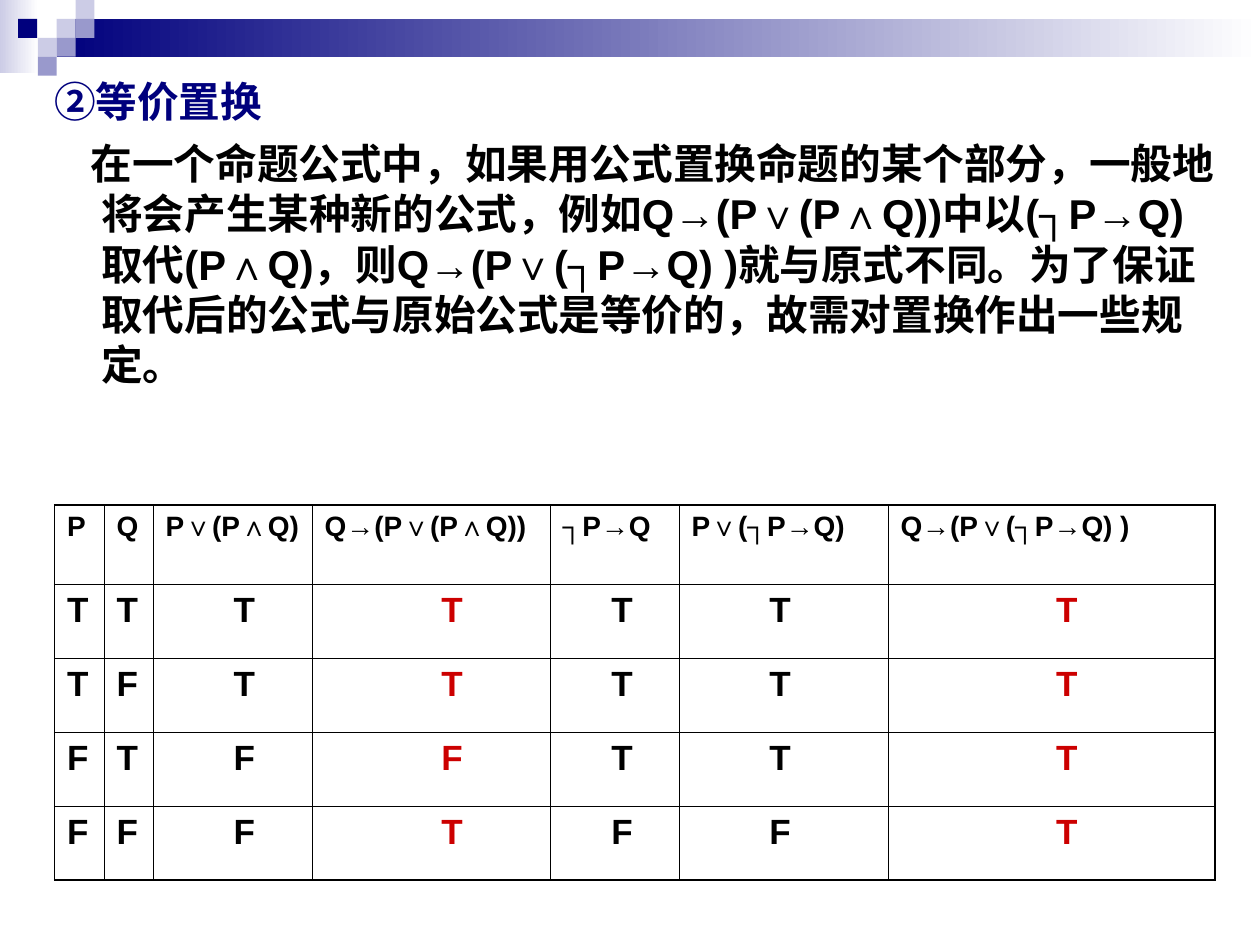
import pptx
import pptx.dml.color
import pptx.enum.shapes
import pptx.oxml
import pptx.oxml.ns
import pptx.util

Pt = pptx.util.Pt

NAVY, LAVENDER, PERIWINKLE = "00007D", "CCCCE6", "9999CC"
BLACK, WHITE, RED = "000000", "FFFFFF", "CC0000"
FONT = "Arial"

HEADING = "②等价置换"
BODY = (
    "在一个命题公式中，如果用公式置换命题的某个部分，一般地将会产生某种新的公式，"
    "例如Q→(P∨(P∧Q))中以(┐P→Q)取代(P∧Q)，则Q→(P∨(┐P→Q) )就与原式不同。"
    "为了保证取代后的公式与原始公式是等价的，故需对置换作出一些规定。"
)

# Header, column width, indent of the truth values, colour of the truth values
COLUMNS = [
    ("P", 28.3, 0, BLACK),
    ("Q", 28, 0, BLACK),
    ("P∨(P∧Q)", 90.9, 38.9, BLACK),
    ("Q→(P∨(P∧Q))", 136, 66.7, RED),
    ("┐P→Q", 73.7, 27.8, BLACK),
    ("P∨(┐P→Q)", 119.4, 44.5, BLACK),
    ("Q→(P∨(┐P→Q) )", 186.9, 88.9, RED),
]
TRUTH_ROWS = ["TTTTTTT", "TFTTTTT", "FTFFTTT", "FFFTFFT"]


def color(hex_string):
    return pptx.dml.color.RGBColor.from_string(hex_string)


def style_paragraph(paragraph, size, hex_string, left=0, first_line=0):
    properties = paragraph._p.get_or_add_pPr()
    properties.set("marL", str(Pt(left)))
    properties.set("indent", str(Pt(first_line)))
    font = paragraph.font
    font.name, font.size, font.bold = FONT, Pt(size), True
    font.color.rgb = color(hex_string)


def add_block(slide, left, top, width, height, *colors):
    """Add a borderless rectangle, solid for one colour, left-to-right gradient for two."""
    shape = slide.shapes.add_shape(
        pptx.enum.shapes.MSO_SHAPE.RECTANGLE, Pt(left), Pt(top), Pt(width), Pt(height))
    shape.shadow.inherit = False
    shape.line.fill.background()
    if len(colors) == 1:
        shape.fill.solid()
        shape.fill.fore_color.rgb = color(colors[0])
        return
    shape.fill.gradient()
    shape.fill.gradient_angle = 0
    for position, (stop, hex_string) in enumerate(zip(shape.fill.gradient_stops, colors)):
        stop.position = position
        stop.color.rgb = color(hex_string)


def add_banner(slide, left, top, width):
    unit = 10.8
    add_block(slide, left, top, 22, 41.6, LAVENDER, WHITE)
    add_block(slide, left + 3 * unit, top + unit, width - 3 * unit, 2 * unit, NAVY, WHITE)
    squares = [(3, 1, LAVENDER), (4, 0, LAVENDER), (4, 1, PERIWINKLE), (2, 2, LAVENDER),
               (0.96, 1, NAVY), (3, 2, PERIWINKLE), (2, 3, PERIWINKLE)]
    for column, row, hex_string in squares:
        add_block(slide, left + column * unit, top + row * unit, unit, unit, hex_string)


def add_explanation(slide, left, top, width, height):
    frame = slide.shapes.add_textbox(Pt(left), Pt(top), Pt(width), Pt(height)).text_frame
    frame.word_wrap = True
    frame.margin_top = Pt(6)
    heading = frame.paragraphs[0]
    heading.text = HEADING
    style_paragraph(heading, 23.8, NAVY, 27, -27)
    body = frame.add_paragraph()
    body.text = BODY
    style_paragraph(body, 23.8, BLACK, 27, -6)
    body.space_before = Pt(7)
    for paragraph in frame.paragraphs:
        paragraph.line_spacing = Pt(28.6)


def set_borders(cell, widths):
    properties = cell._tc.get_or_add_tcPr()
    for index, (side, width) in enumerate(widths.items()):
        line = pptx.oxml.parse_xml(
            f'<a:{side} {pptx.oxml.ns.nsdecls("a")} w="{Pt(width)}"><a:solidFill>'
            f'<a:srgbClr val="{BLACK}"/></a:solidFill></a:{side}>')
        properties.insert(index, line)


def add_truth_table(slide, left, top, header_height, row_height):
    row_count, column_count = len(TRUTH_ROWS) + 1, len(COLUMNS)
    total_width = sum(column[1] for column in COLUMNS)
    total_height = header_height + row_height * len(TRUTH_ROWS)
    table = slide.shapes.add_table(row_count, column_count, Pt(left), Pt(top),
                                   Pt(total_width), Pt(total_height)).table
    table.first_row = table.horz_banding = False
    for row_index, row in enumerate(table.rows):
        row.height = Pt(row_height if row_index else header_height)
    for column_index, (header, width, indent, value_color) in enumerate(COLUMNS):
        table.columns[column_index].width = Pt(width)
        texts = [header] + [values[column_index] for values in TRUTH_ROWS]
        for row_index, text in enumerate(texts):
            cell = table.cell(row_index, column_index)
            cell.fill.background()
            paragraph = cell.text_frame.paragraphs[0]
            paragraph.text = text
            if row_index == 0:
                style_paragraph(paragraph, 16, BLACK)
            else:
                style_paragraph(paragraph, 20, value_color, indent)
            outer = {
                "lnL": column_index == 0,
                "lnR": column_index == column_count - 1,
                "lnT": row_index == 0,
                "lnB": row_index == row_count - 1,
            }
            set_borders(cell, {side: 1.08 if edge else 0.45 for side, edge in outer.items()})


def main():
    presentation = pptx.Presentation()
    presentation.slide_width, presentation.slide_height = Pt(720), Pt(540)
    slide = presentation.slides.add_slide(presentation.slide_layouts[6])
    add_banner(slide, 0, 0, 720)
    add_explanation(slide, 23.8, 37.4, 681.8, 198.7)
    add_truth_table(slide, 31.2, 288.7, 45.4, 42.2)
    presentation.save("out.pptx")


if __name__ == "__main__":
    main()
